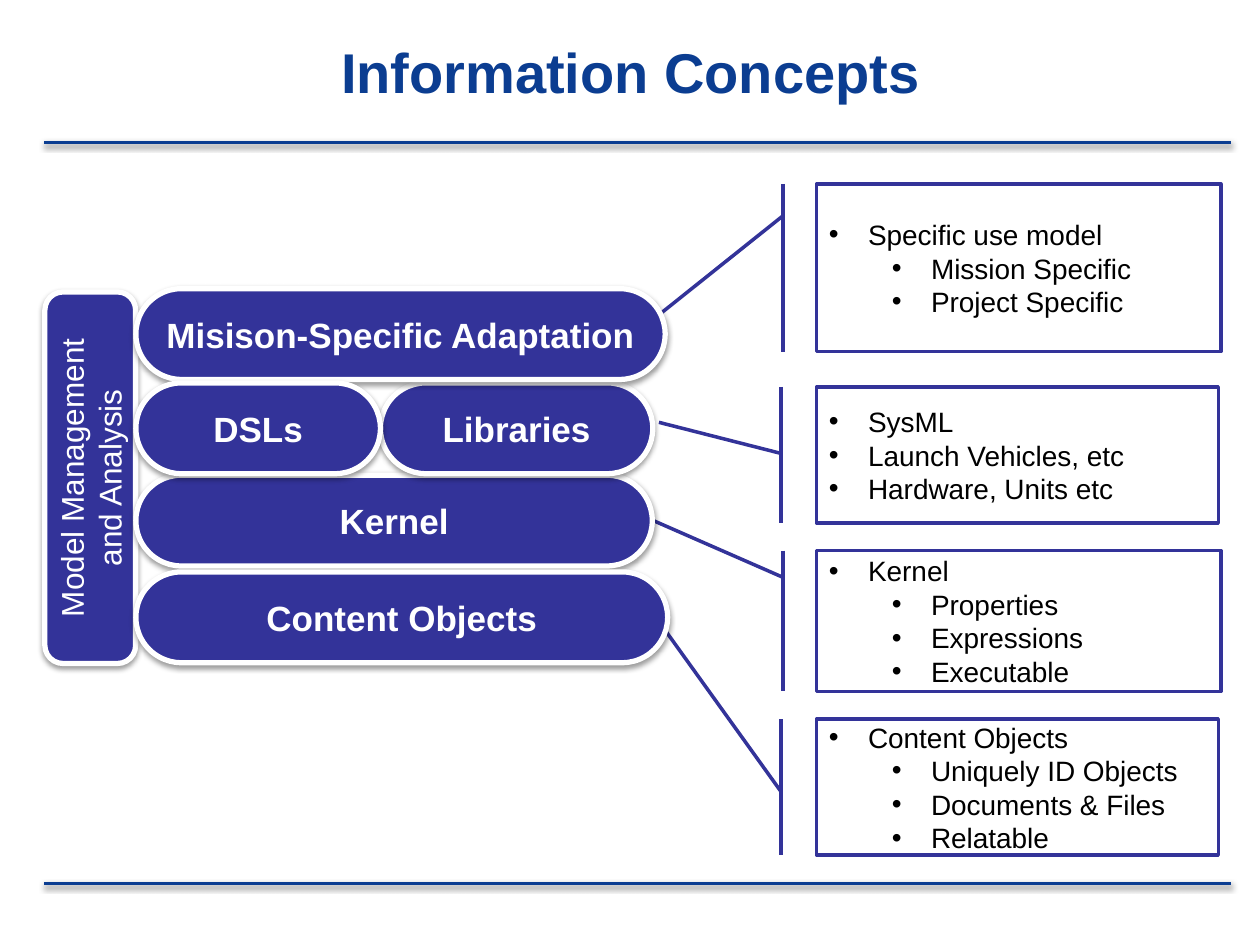
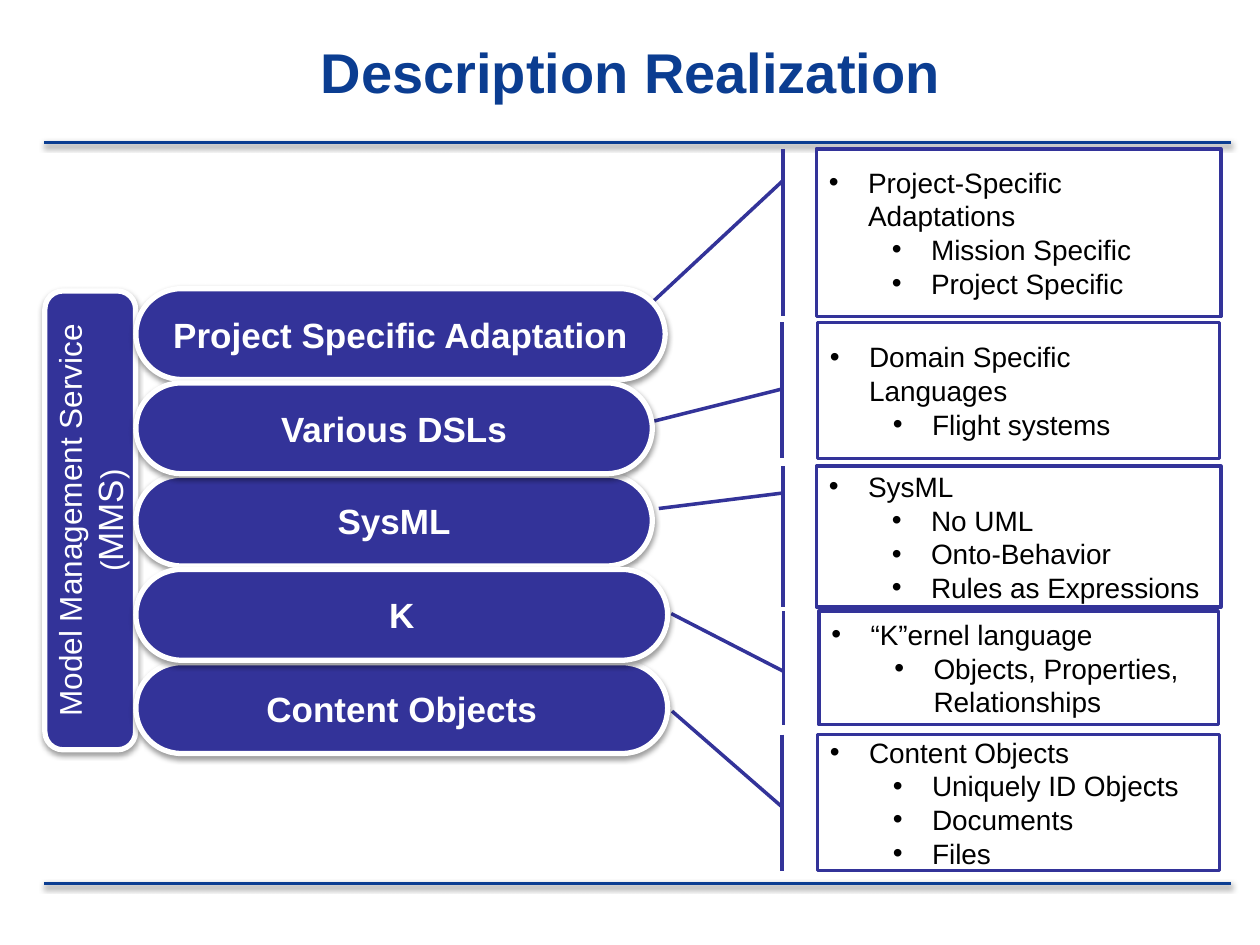
from lxml.etree import SubElement
from pptx import Presentation
from pptx.dml.color import RGBColor
from pptx.enum.shapes import MSO_CONNECTOR, MSO_SHAPE
from pptx.enum.text import MSO_ANCHOR, PP_ALIGN
from pptx.oxml.ns import qn
from pptx.util import Cm, Pt

NAVY = RGBColor(0x0B, 0x3D, 0x91)
INDIGO = RGBColor(0x33, 0x33, 0x99)
WHITE = RGBColor(0xFF, 0xFF, 0xFF)
BLACK = RGBColor(0, 0, 0)
FONT = "Arial"

# Lengths in cm
RULE_LEFT, RULE_RIGHT, RULE_TOPS = 0.89, 24.82, (2.87, 17.81)
TITLE_BOX = (3, 0.2, 19.43, 2.46)
BAND = 1.83  # thickness of every layer and of the side bar
BAR_CENTER = 1.82
LAYER_LEFT = 2.74
BULLET_HANG, BULLET_STEP = 0.79, 1.27

# bar: text runs (text, size), vertical centre, length
# layers, back to front: text, left, top, width
# callouts: box, pointer (y, x of its start and end, as shares of the box),
#           main bullets, sub-bullets
SLIDES = [
    {
        "title": "Information Concepts",
        "bar": ([("Model Management and Analysis", 18)], 9.63, 7.49),
        "layers": [
            ("Kernel", LAYER_LEFT, 9.58, 10.41),
            ("Content Objects", LAYER_LEFT, 11.53, 10.72),
            ("Libraries", 7.67, 7.72, 5.49),
            ("Misison-Specific Adaptation", LAYER_LEFT, 5.82, 10.67),
            ("DSLs", LAYER_LEFT, 7.72, 4.93),
        ],
        "callouts": [
            ((16.46, 3.71, 8.15, 3.38), (0.19, -0.083, 0.783, -0.391),
             ["Specific use model"],
             ["Mission Specific", "Project Specific"]),
            ((16.46, 7.8, 8.1, 2.74), (0.49, -0.088, 0.261, -0.392),
             ["SysML", "Launch Vehicles, etc", "Hardware, Units etc"], []),
            ((16.46, 11.1, 8.15, 2.84), (0.19, -0.083, -0.216, -0.406),
             ["Kernel"], ["Properties", "Expressions", "Executable"]),
            ((16.46, 14.5, 8.1, 2.74), (0.53, -0.089, -0.673, -0.381),
             ["Content Objects"],
             ["Uniquely ID Objects", "Documents & Files", "Relatable"]),
        ],
    },
    {
        "title": "Description Realization",
        "bar": ([("Model Management Service (", 18), ("MMS", 20), (")", 18)],
                10.49, 9.25),
        "layers": [
            ("SysML", LAYER_LEFT, 9.58, 10.41),
            ("Content Objects", LAYER_LEFT, 13.36, 10.72),
            ("Project Specific Adaptation", LAYER_LEFT, 5.82, 10.67),
            ("Various DSLs", LAYER_LEFT, 7.72, 10.41),
            ("K", LAYER_LEFT, 11.48, 10.72),
        ],
        "callouts": [
            ((16.46, 3, 8.15, 3.38), (0.19, -0.083, 0.915, -0.406),
             ["Project-Specific Adaptations"],
             ["Mission Specific", "Project Specific"]),
            ((16.48, 6.5, 8.1, 2.74), (0.49, -0.088, 0.759, -0.451),
             ["Domain Specific Languages"], ["Flight systems"]),
            ((16.46, 9.4, 8.15, 2.84), (0.19, -0.083, 0.3, -0.39),
             ["SysML"],
             ["No UML", "Onto-Behavior", "Rules as Expressions"]),
            ((16.48, 14.81, 8.1, 2.74), (0.53, -0.089, -0.173, -0.362),
             ["Content Objects"],
             ["Uniquely ID Objects", "Documents", "Files"]),
            ((16.51, 12.32, 8.05, 2.29), (0.53, -0.089, 0.022, -0.37),
             ["“K”ernel language"], ["Objects, Properties, Relationships"]),
        ],
    },
]


def add_shadow(sp):
    """Give a shape, whose line is already set, a soft shadow straight below."""
    effects = SubElement(sp.element.spPr, qn("a:effectLst"))
    outer = SubElement(effects, qn("a:outerShdw"), blurRad="40000",
                       dist="20000", dir="5400000", rotWithShape="0")
    color = SubElement(outer, qn("a:srgbClr"), val="000000")
    SubElement(color, qn("a:alpha"), val="38000")


def style_run(r, size, color, bold=False):
    r.font.name, r.font.size = FONT, Pt(size)
    r.font.color.rgb, r.font.bold = color, bold


def add_box(slide, kind, box, adjustments, fill, line, width):
    sp = slide.shapes.add_shape(kind, *map(Cm, box))
    for i, value in enumerate(adjustments):
        sp.adjustments[i] = value
    sp.fill.solid()
    sp.fill.fore_color.rgb = fill
    sp.line.color.rgb = line
    sp.line.width = Pt(width)
    sp.text_frame.word_wrap = True
    sp.text_frame.vertical_anchor = MSO_ANCHOR.MIDDLE
    return sp


def add_band(slide, runs, box, rounding, margin, bold):
    sp = add_box(slide, MSO_SHAPE.ROUNDED_RECTANGLE, box, [rounding],
                 INDIGO, WHITE, 3)
    add_shadow(sp)
    tf = sp.text_frame
    tf.margin_left = tf.margin_right = Cm(margin)
    p = tf.paragraphs[0]
    p.alignment = PP_ALIGN.CENTER
    for text, size in runs:
        r = p.add_run()
        r.text = text
        style_run(r, size, WHITE, bold)
    return sp


def add_bar(slide, runs, middle, length):
    box = (BAR_CENTER - length / 2, middle - BAND / 2, length, BAND)
    add_band(slide, runs, box, 0.2, 0.3, False).rotation = 270


def set_bullet(p, level):
    p.level = level
    p.alignment = PP_ALIGN.LEFT
    pPr = p._p.get_or_add_pPr()
    pPr.set("marL", str(Cm(BULLET_HANG + level * BULLET_STEP)))
    pPr.set("indent", str(-Cm(BULLET_HANG)))
    SubElement(pPr, qn("a:buFont"), typeface=FONT)
    SubElement(pPr, qn("a:buChar"), char="•")


def add_callout(slide, box, pointer, mains, subs):
    sp = add_box(slide, MSO_SHAPE.LINE_CALLOUT_1_BORDER_AND_ACCENT_BAR, box,
                 pointer, WHITE, INDIGO, 2)
    sp.shadow.inherit = False
    tf = sp.text_frame
    tf.text = "\n".join(mains + subs)
    for i, p in enumerate(tf.paragraphs):
        set_bullet(p, int(i >= len(mains)))
        style_run(p.runs[0], 16, BLACK)


def place_title(title):
    title.left, title.top, title.width, title.height = map(Cm, TITLE_BOX)


def prepare_layout(layout, slide):
    """Place the shared title and move the two rules from slide to layout."""
    for ph in list(layout.placeholders):
        if ph.placeholder_format.idx == 0:
            place_title(ph)
        else:
            ph.element.getparent().remove(ph.element)
    rules = [slide.shapes.add_connector(MSO_CONNECTOR.STRAIGHT, Cm(RULE_LEFT),
                                        Cm(y), Cm(RULE_RIGHT), Cm(y))
             for y in RULE_TOPS]
    for rule in rules:
        rule.line.color.rgb = NAVY
        rule.line.width = Pt(2)
        add_shadow(rule)
        layout.shapes.element.append(rule.element)


def fill_slide(slide, content):
    tf = slide.shapes.title.text_frame
    tf.text = content["title"]
    tf.vertical_anchor = MSO_ANCHOR.MIDDLE
    tf.paragraphs[0].alignment = PP_ALIGN.CENTER
    style_run(tf.paragraphs[0].runs[0], 32, NAVY, True)
    add_bar(slide, *content["bar"])
    for callout in content["callouts"]:
        add_callout(slide, *callout)
    for text, left, top, width in content["layers"]:
        add_band(slide, [(text, 20)], (left, top, width, BAND), 0.5, 0.1, True)


def main():
    prs = Presentation()
    prs.slide_width, prs.slide_height = Cm(25.4), Cm(19.05)
    layout = prs.slide_layouts[5]
    slides = [prs.slides.add_slide(layout) for _ in SLIDES]
    prepare_layout(layout, slides[0])
    for slide, content in zip(slides, SLIDES):
        fill_slide(slide, content)
    prs.save("out.pptx")


if __name__ == "__main__":
    main()
